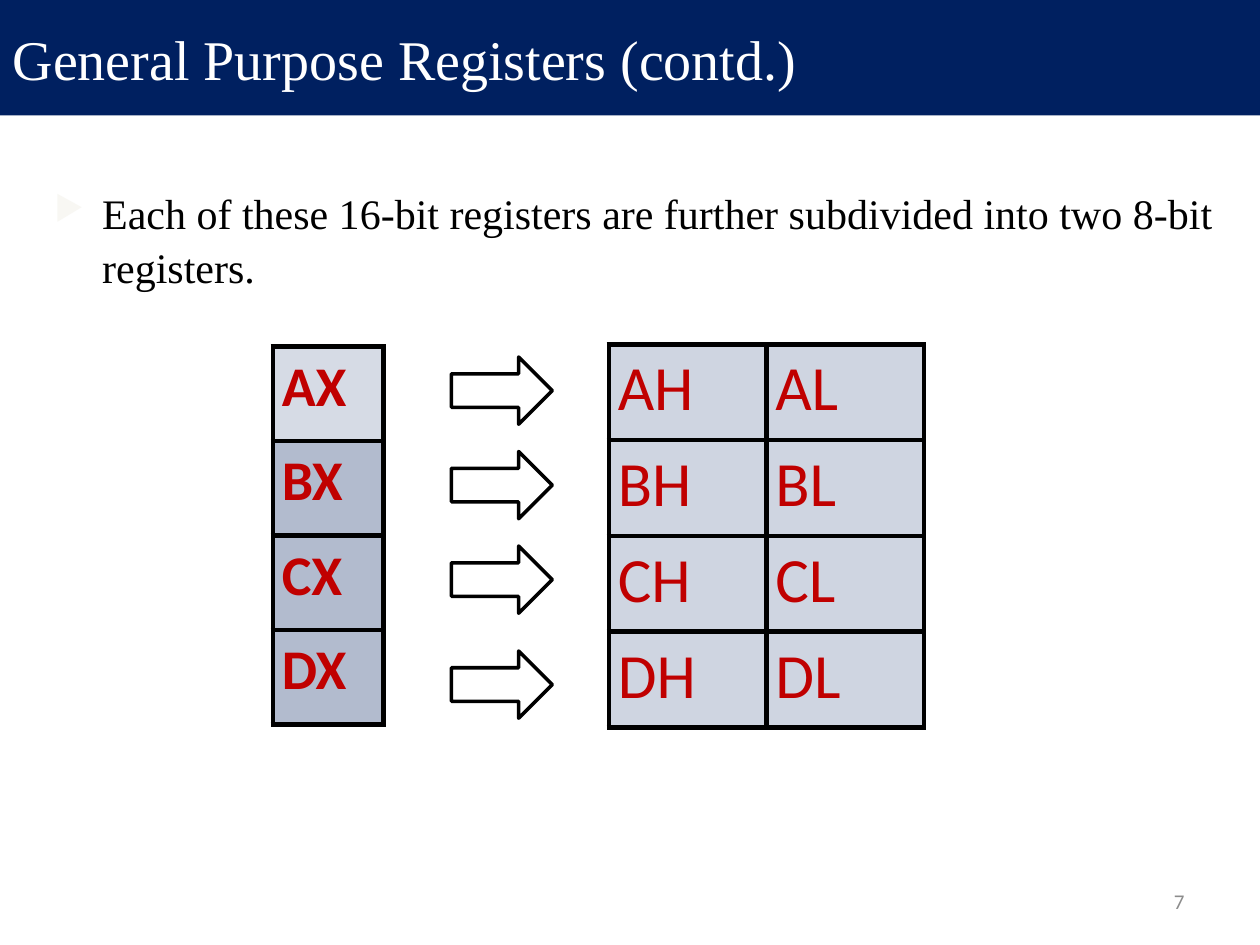
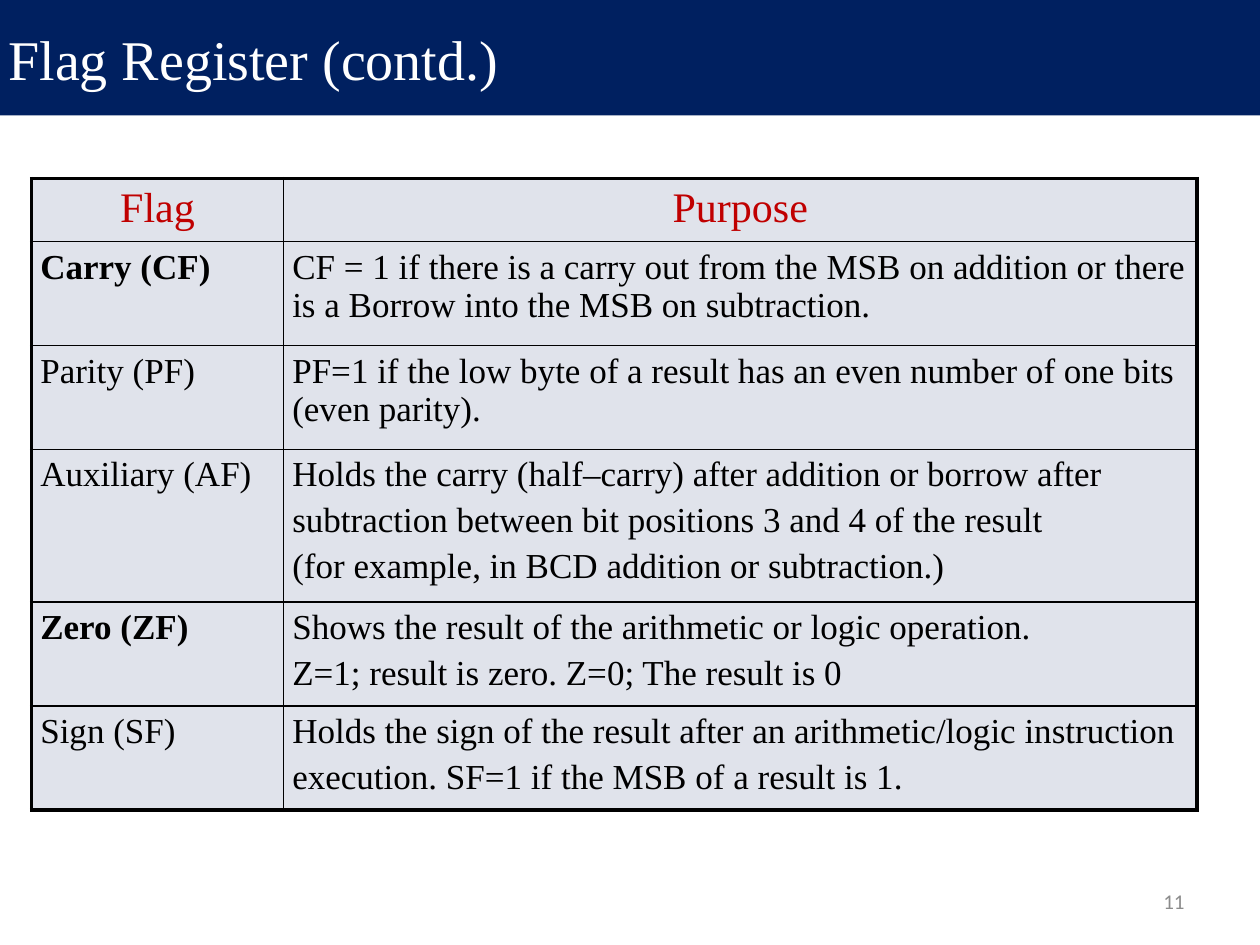
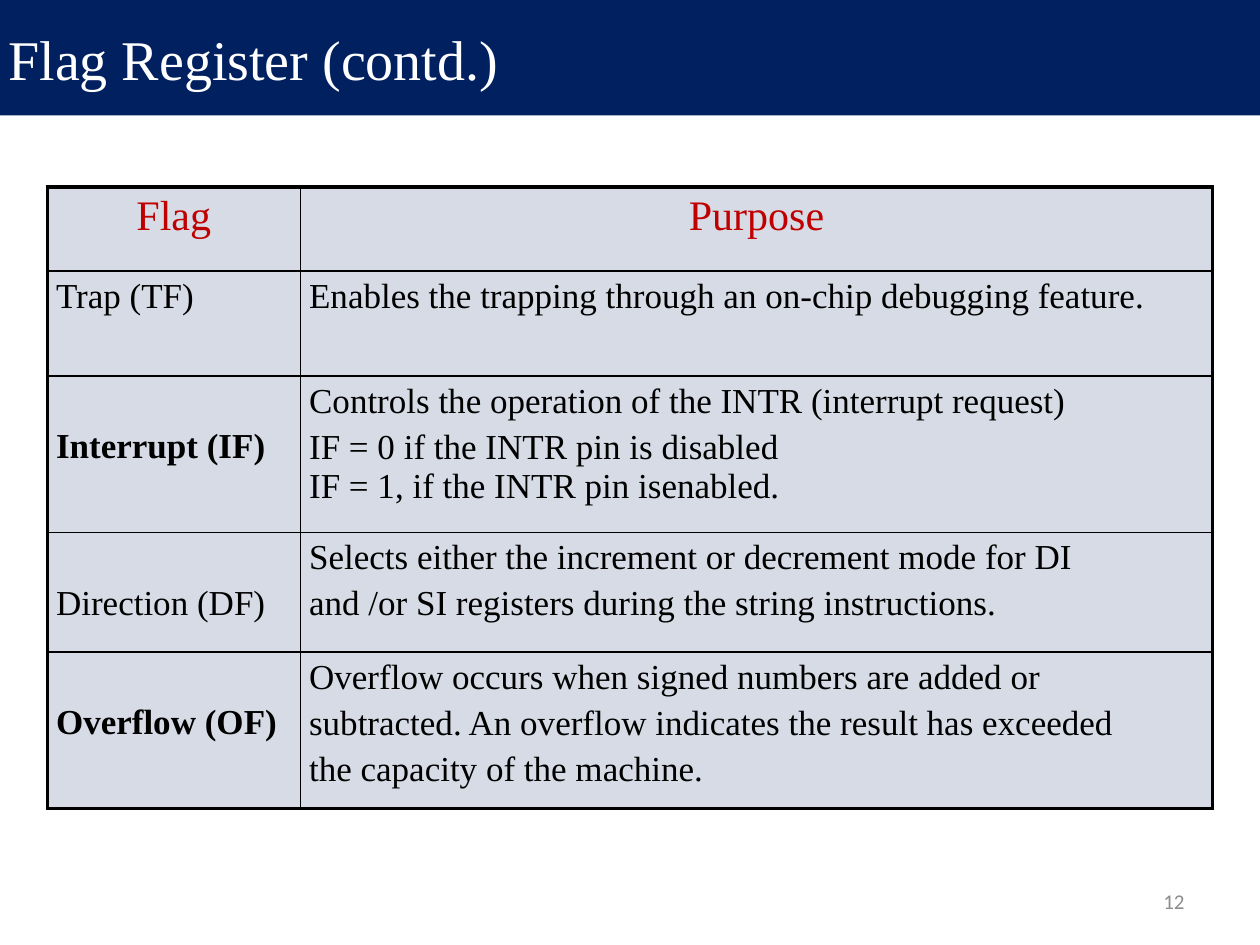
from dataclasses import dataclass

from lxml.etree import SubElement
from pptx import Presentation
from pptx.dml.color import RGBColor
from pptx.enum.shapes import MSO_SHAPE as Shape
from pptx.enum.text import MSO_ANCHOR as Anchor, MSO_AUTO_SIZE as AutoSize, PP_ALIGN as Align
from pptx.oxml import parse_xml
from pptx.oxml.ns import nsdecls, qn
from pptx.util import Emu, Inches, Pt


@dataclass(frozen=True)
class Theme:
    navy: str = "002060"
    red: str = "C00000"
    black: str = "000000"
    white: str = "FFFFFF"
    grey: str = "8C8C8C"
    pale: str = "F8F7F3"
    serif: str = "Times New Roman"
    sans: str = "Calibri"
    title_size: int = 32
    body_size: int = 24
    cell_size: int = 20
    number_size: int = 12
    whole_size: int = 32
    half_size: int = 36


THEME = Theme()
SLIDE_WIDTH, SLIDE_HEIGHT = Inches(10), Inches(7.5)
GRID_COLUMNS = 120
UNIT = SLIDE_WIDTH / GRID_COLUMNS
BAND_ROWS = 11
NUMBER_BOX = (86, 83.4, 28, 4.8)

# Content: register slide
REGISTER_TITLE = "General Purpose Registers (contd.)"
REGISTER_POINT = "Each of these 16-bit registers are further subdivided into two 8-bit registers."
REGISTERS = ["A", "B", "C", "D"]
ARROW_TOPS = [34, 43, 52, 62]
FIRST_TINT, WHOLE_TINT, HALF_TINT = 16, 30, 19

# Content: flag slides; each row is (flag, bold, lines of its purpose)
FLAG_TITLE = "Flag Register (contd.)"
FLAG_HEADINGS = ("Flag", "Purpose")
FLAG_SLIDES = [
    {
        "number": 11, "corner": (3, 17), "tint": 12, "columns": [24, 87],
        "heights": [5.9, 9.9, 9.9, 13.6, 9.9, 9.9], "lowered": (),
        "rows": [
            ("Carry (CF)", True, [
                "CF = 1 if there is a carry out from the MSB on addition or there "
                "is a Borrow into the MSB on subtraction."]),
            ("Parity (PF)", False, [
                "PF=1 if the low byte of a result has an even number of one bits (even parity)."]),
            ("Auxiliary (AF)", False, [
                "Holds the carry (half–carry) after addition or borrow after",
                "subtraction between bit positions 3 and 4 of the result",
                "(for example, in BCD addition or subtraction.)"]),
            ("Zero (ZF)", True, [
                "Shows the result of the arithmetic or logic operation.",
                "Z=1; result is zero. Z=0; The result is 0"]),
            ("Sign (SF)", False, [
                "Holds the sign of the result after an arithmetic/logic instruction",
                "execution. SF=1 if the MSB of a result is 1."]),
        ],
    },
    {
        "number": 12, "corner": (4.5, 17.8), "tint": 16, "columns": [24.1, 86.9],
        "heights": [8, 10, 14.9, 11.4, 14.9], "lowered": (2, 3, 4),
        "rows": [
            ("Trap (TF)", False, ["Enables the trapping through an on-chip debugging feature."]),
            ("Interrupt (IF)", True, [
                "Controls the operation of the INTR (interrupt request)",
                "IF = 0 if the INTR pin is disabled \nIF = 1, if the INTR pin isenabled."]),
            ("Direction (DF)", False, [
                "Selects either the increment or decrement mode for DI",
                "and /or SI registers during the string instructions."]),
            ("Overflow (OF)", True, [
                "Overflow occurs when signed numbers are added or",
                "subtracted. An overflow indicates the result has exceeded",
                "the capacity of the machine."]),
        ],
    },
]


def grid(*lengths):
    return [Emu(round(length * UNIT)) for length in lengths]


def add_text(paragraph, text, size, color, font=THEME.serif, bold=False):
    for index, line in enumerate(text.split("\n")):
        if index:
            paragraph.add_line_break()
        run = paragraph.add_run()
        run.text = line
        run.font.name, run.font.size, run.font.bold = font, Pt(size), bold
        run.font.color.rgb = RGBColor.from_string(color)


def add_text_box(slide, box):
    frame = slide.shapes.add_textbox(*grid(*box)).text_frame
    frame.word_wrap = True
    return frame


# Shared frame: title band and slide number
def start_slide(presentation, title_text, number, band_left=0):
    slide = presentation.slides.add_slide(presentation.slide_layouts[5])
    title = slide.shapes.title
    title.left, title.top, title.width, title.height = grid(
        band_left, 0, GRID_COLUMNS - band_left, BAND_ROWS)
    title.fill.solid()
    title.fill.fore_color.rgb = RGBColor.from_string(THEME.navy)
    title.text_frame.auto_size = AutoSize.NONE
    title.text_frame.vertical_anchor = Anchor.MIDDLE
    paragraph = title.text_frame.paragraphs[0]
    paragraph.alignment = Align.LEFT
    add_text(paragraph, title_text, THEME.title_size, THEME.white)

    frame = add_text_box(slide, NUMBER_BOX)
    frame.vertical_anchor = Anchor.MIDDLE
    frame.paragraphs[0].alignment = Align.RIGHT
    add_text(frame.paragraphs[0], str(number), THEME.number_size, THEME.grey, THEME.sans)
    return slide


# Tables
def style_cell(cell, tint, borders):
    """Tint is the opacity in percent; borders are left, right, top, bottom in points."""
    cell.margin_left = cell.margin_right = Inches(0.07)
    cell.margin_top = cell.margin_bottom = Inches(0.05)
    cell.fill.solid()
    cell.fill.fore_color.rgb = RGBColor.from_string(THEME.navy)
    properties = cell._tc.get_or_add_tcPr()
    color = properties.find(qn("a:solidFill")).find(qn("a:srgbClr"))
    SubElement(color, qn("a:alpha")).set("val", str(tint * 1000))
    for index, (side, width) in enumerate(zip("LRTB", borders)):
        properties.insert(index, parse_xml(
            f'<a:ln{side} {nsdecls("a")} w="{Pt(width)}"><a:solidFill>'
            f'<a:srgbClr val="{THEME.black}"/></a:solidFill></a:ln{side}>'))


def add_grid_table(slide, corner, columns, heights, tint_of_row, outer, inner):
    box = grid(*corner, sum(columns), sum(heights))
    table = slide.shapes.add_table(len(heights), len(columns), *box).table
    table.first_row = table.horz_banding = False
    for column, width in zip(table.columns, grid(*columns)):
        column.width = width
    for row, height in zip(table.rows, grid(*heights)):
        row.height = height
    last_row, last_column = len(heights) - 1, len(columns) - 1
    for r in range(len(heights)):
        for c in range(len(columns)):
            at_edge = (c == 0, c == last_column, r == 0, r == last_row)
            borders = [outer if edge else inner for edge in at_edge]
            style_cell(table.cell(r, c), tint_of_row(r), borders)
    return table


def fill_flag_cell(cell, lines, bold=False):
    for index, line in enumerate(lines):
        frame = cell.text_frame
        paragraph = frame.add_paragraph() if index else frame.paragraphs[0]
        if index:
            paragraph.space_before = Pt(4)
        add_text(paragraph, line, THEME.cell_size, THEME.black, bold=bold)


# Register slide
def add_bullet_point(slide):
    paragraph = add_text_box(slide, (4, 17, 113, 68)).paragraphs[0]
    paragraph.line_spacing = 1.06
    add_text(paragraph, REGISTER_POINT, THEME.body_size, THEME.black)
    properties = paragraph._p.get_or_add_pPr()
    indent = Inches(0.38)
    properties.set("marL", str(indent))
    properties.set("indent", str(-indent))
    bullet_color = SubElement(properties, qn("a:buClr"))
    SubElement(bullet_color, qn("a:srgbClr")).set("val", THEME.pale)
    SubElement(properties, qn("a:buSzPct")).set("val", "80000")
    SubElement(properties, qn("a:buChar")).set("char", "▶")


def add_arrow(slide, top):
    arrow = slide.shapes.add_shape(Shape.RIGHT_ARROW, *grid(43, top, 9.6, 6.4))
    arrow.shadow.inherit = False
    arrow.fill.background()
    arrow.line.color.rgb = RGBColor.from_string(THEME.black)
    arrow.line.width = Pt(2)


def build_register_slide(presentation):
    slide = start_slide(presentation, REGISTER_TITLE, 7)
    add_bullet_point(slide)
    count = len(REGISTERS)
    halves = add_grid_table(slide, (58, 32.8), [15, 15], [9.12] * count,
                            lambda row: HALF_TINT, 3, 3)
    wholes = add_grid_table(slide, (26, 33), [10.5], [9] * count,
                            lambda row: WHOLE_TINT if row else FIRST_TINT, 3, 3)
    for row, letter in enumerate(REGISTERS):
        add_text(wholes.cell(row, 0).text_frame.paragraphs[0], letter + "X",
                 THEME.whole_size, THEME.red, THEME.sans, bold=True)
        for column, half in enumerate("HL"):
            add_text(halves.cell(row, column).text_frame.paragraphs[0], letter + half,
                     THEME.half_size, THEME.red, THEME.sans)
    for top in ARROW_TOPS:
        add_arrow(slide, top)


# Flag slides
def build_flag_slide(presentation, content):
    slide = start_slide(presentation, FLAG_TITLE, content["number"], band_left=-0.4)
    table = add_grid_table(slide, content["corner"], content["columns"], content["heights"],
                           lambda row: content["tint"], 2.25, 1)
    for column, heading in enumerate(FLAG_HEADINGS):
        paragraph = table.cell(0, column).text_frame.paragraphs[0]
        paragraph.alignment = Align.CENTER
        add_text(paragraph, heading, THEME.body_size, THEME.red)
    for row, (flag, bold, purpose) in enumerate(content["rows"], start=1):
        fill_flag_cell(table.cell(row, 0), [flag], bold)
        fill_flag_cell(table.cell(row, 1), purpose)
        if row in content["lowered"]:  # level with the second line of the purpose
            table.cell(row, 0).margin_top = Inches(0.41)


def main():
    presentation = Presentation()
    presentation.slide_width, presentation.slide_height = SLIDE_WIDTH, SLIDE_HEIGHT
    build_register_slide(presentation)
    for content in FLAG_SLIDES:
        build_flag_slide(presentation, content)
    presentation.save("out.pptx")


if __name__ == "__main__":
    main()
